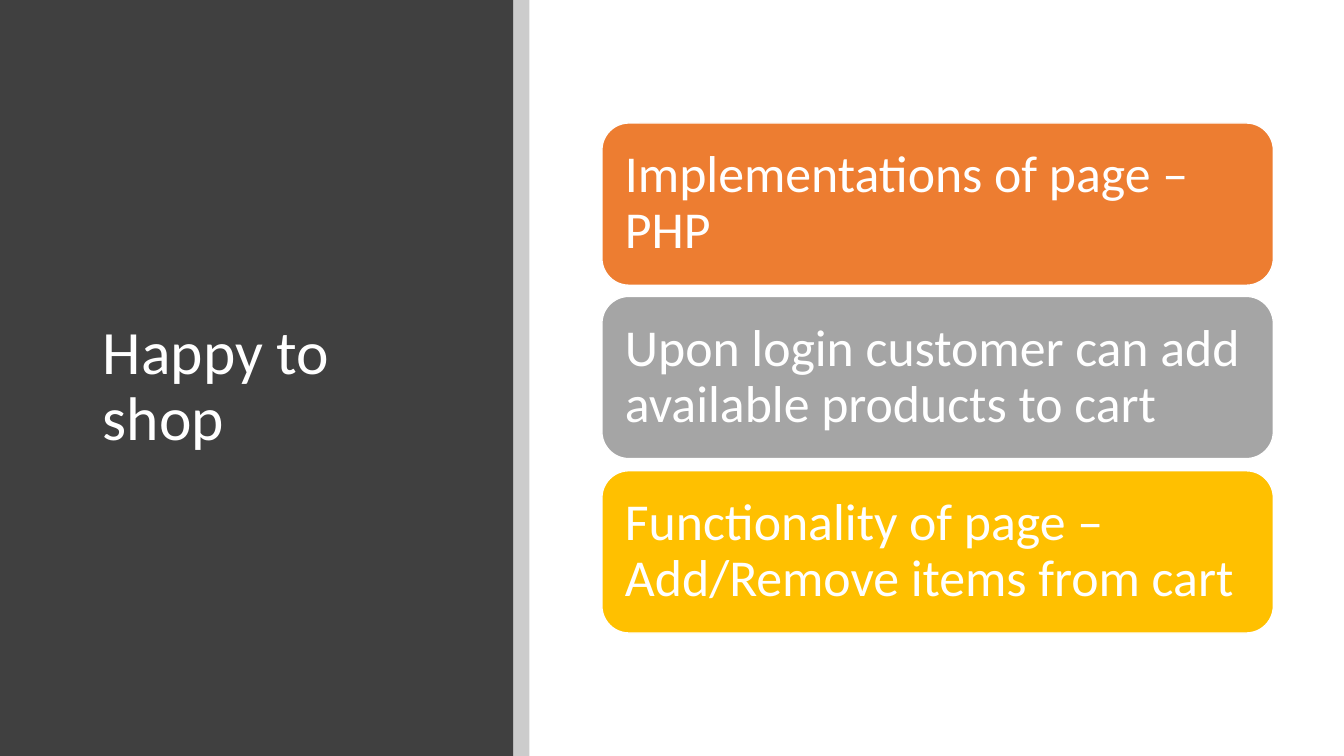
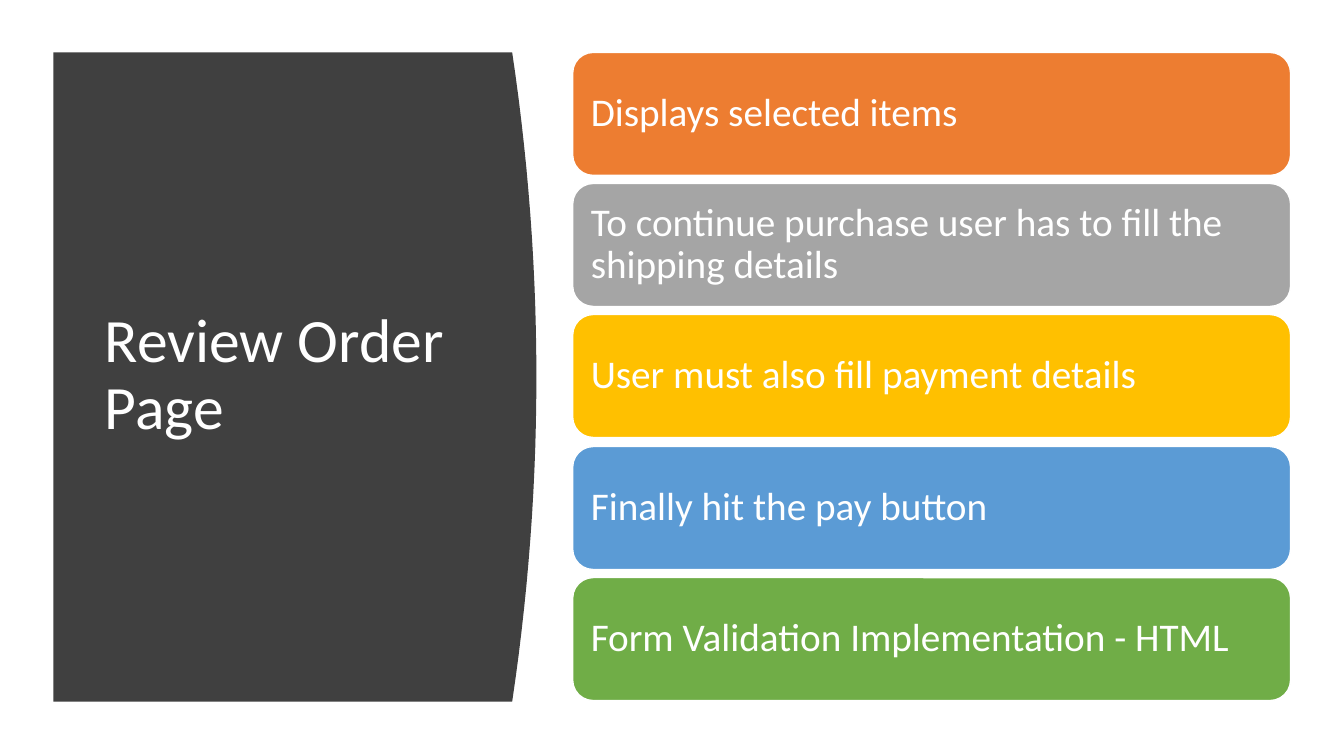
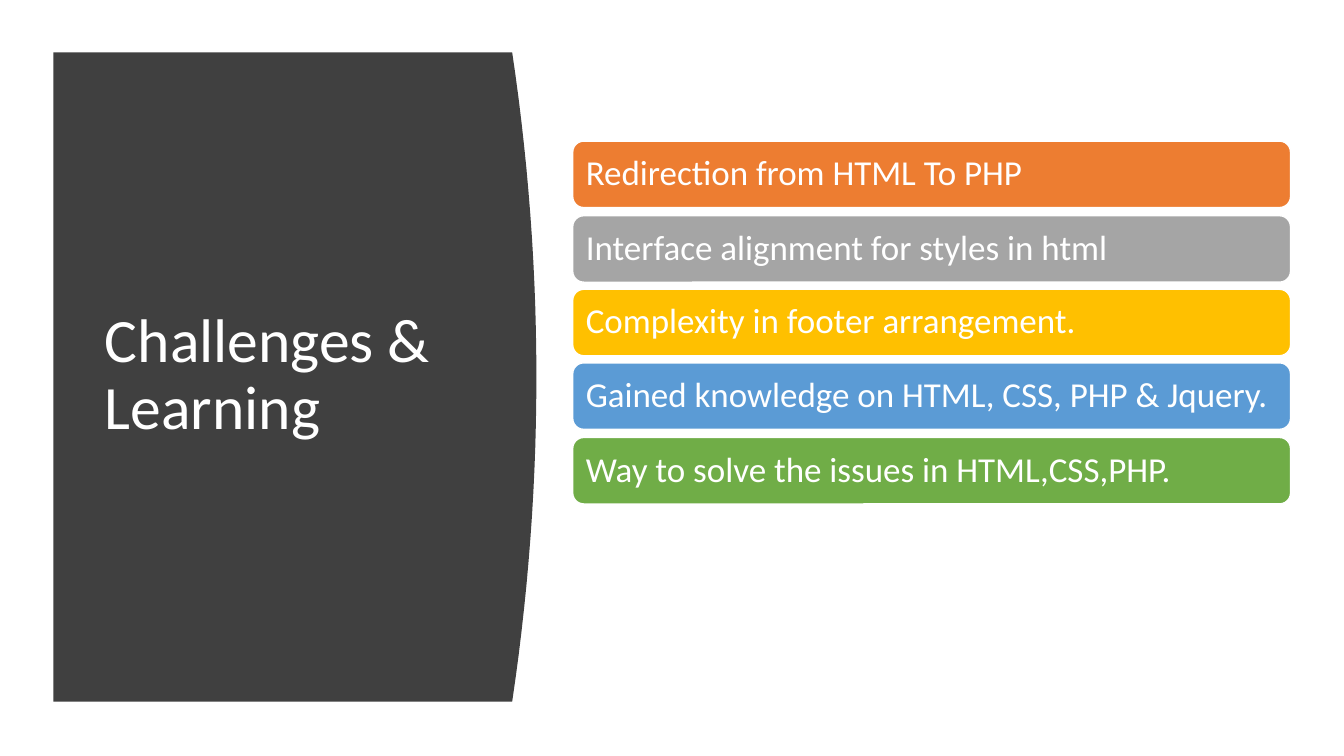
"""Build three slides, each with a dark title panel and a stack of coloured bars."""
import dataclasses
import typing

import lxml.etree
import pptx
import pptx.dml.color
import pptx.enum.shapes
import pptx.enum.text
import pptx.oxml.ns
import pptx.util

SCALE = 9144
WIDTH, HEIGHT = 1333, 750
FONT = "Calibri"
WHITE, DARK, BLACK = "FFFFFF", "404040", "000000"
FILLS = ("ED7D31", "A5A5A5", "FFC000", "5B9BD5", "70AD47")
KIND = pptx.enum.shapes.MSO_SHAPE


class Box(typing.NamedTuple):
    left: int
    top: int
    width: int
    height: int


@dataclasses.dataclass(frozen=True)
class Stack:
    area: Box
    bar: int
    inset: int
    size: int
    items: tuple[str, ...]


@dataclasses.dataclass(frozen=True)
class Page:
    title: str
    place: Box
    curved: bool
    stack: Stack


PANEL = Box(53, 52, 455, 644)
BULGE, STEPS = 24, 28
SIDE = Box(0, 0, 509, HEIGHT)
STRIP = Box(509, 0, 16, HEIGHT)
INNER = Box(94, 111, 374, 524)

PAGES = (
    Page("Happy to shop", Box(92, 89, 365, 591), False,
         Stack(Box(597, 122, 666, 506), 161, 15, 37, (
             "Implementations of page – PHP",
             "Upon login customer can add available products to cart",
             "Functionality of page – Add/Remove items from cart",
         ))),
    Page("Review Order Page", INNER, True,
         Stack(Box(568, 52, 712, 643), 122, 12, 28, (
             "Displays selected items",
             "To continue purchase user has to fill the shipping details",
             "User must also fill payment details",
             "Finally hit the pay button",
             "Form Validation Implementation - HTML",
         ))),
    Page("Challenges & Learning", INNER, True,
         Stack(Box(568, 140, 712, 360), 66, 10, 25, (
             "Redirection from HTML To PHP",
             "Interface alignment for styles in html",
             "Complexity in footer arrangement.",
             "Gained knowledge on HTML, CSS, PHP & Jquery.",
             "Way to solve the issues in HTML,CSS,PHP.",
         ))),
)


def px(count: float) -> pptx.util.Emu:
    return pptx.util.Emu(round(count * SCALE))


def tint(code: str) -> pptx.dml.color.RGBColor:
    return pptx.dml.color.RGBColor.from_string(code)


def paint(shape, code: str) -> None:
    shape.shadow.inherit = False
    shape.fill.solid()
    shape.fill.fore_color.rgb = tint(code)
    shape.line.fill.background()


def block(slide, kind, box: Box, code: str):
    shape = slide.shapes.add_shape(kind, *map(px, box))
    paint(shape, code)
    return shape


def write(shape, text: str, size: int) -> None:
    frame = shape.text_frame
    frame.text = text
    frame.word_wrap = True
    frame.auto_size = pptx.enum.text.MSO_AUTO_SIZE.NONE
    frame.vertical_anchor = pptx.enum.text.MSO_ANCHOR.MIDDLE
    line = frame.paragraphs[0]
    line.alignment = pptx.enum.text.PP_ALIGN.LEFT
    line.line_spacing = 0.9
    font = line.runs[0].font
    font.name = FONT
    font.size = pptx.util.Pt(size)
    font.color.rgb = tint(WHITE)


def fade(shape, share: int) -> None:
    color = shape.element.spPr.find(".//" + pptx.oxml.ns.qn("a:srgbClr"))
    alpha = lxml.etree.SubElement(color, pptx.oxml.ns.qn("a:alpha"))
    alpha.set("val", str(share * 1000))


def curve(slide):
    right, base = PANEL.left + PANEL.width, PANEL.top + PANEL.height
    edge = []
    for step in range(STEPS + 1):
        part = step / STEPS
        edge.append((px(right + BULGE * 4 * part * (1 - part)),
                     px(PANEL.top + PANEL.height * part)))
    path = slide.shapes.build_freeform(px(PANEL.left), px(PANEL.top))
    path.add_line_segments([*edge, (px(PANEL.left), px(base))], close=True)
    panel = path.convert_to_shape()
    paint(panel, DARK)
    return panel


def head(slide, page: Page) -> None:
    title = slide.shapes.title
    title.left, title.top, title.width, title.height = map(px, page.place)
    write(title, page.title, 44)
    if page.curved:
        panel = curve(slide)
    else:
        panel = block(slide, KIND.RECTANGLE, SIDE, DARK)
        fade(block(slide, KIND.RECTANGLE, STRIP, BLACK), 20)
    title.element.addprevious(panel.element)


def pile(slide, stack: Stack) -> None:
    area = stack.area
    pitch = (area.height - stack.bar) / (len(stack.items) - 1)
    for row, (text, code) in enumerate(zip(stack.items, FILLS)):
        box = Box(area.left, round(area.top + row * pitch), area.width, stack.bar)
        bar = block(slide, KIND.ROUNDED_RECTANGLE, box, code)
        bar.line.color.rgb = tint(WHITE)
        bar.line.width = pptx.util.Pt(1)
        frame = bar.text_frame
        frame.margin_left = frame.margin_right = px(stack.inset)
        frame.margin_top = frame.margin_bottom = px(stack.inset)
        write(bar, text, stack.size)


def main() -> None:
    deck = pptx.Presentation()
    deck.slide_width, deck.slide_height = px(WIDTH), px(HEIGHT)
    for page in PAGES:
        slide = deck.slides.add_slide(deck.slide_layouts[5])
        head(slide, page)
        pile(slide, page.stack)
    deck.save("out.pptx")


if __name__ == "__main__":
    main()
